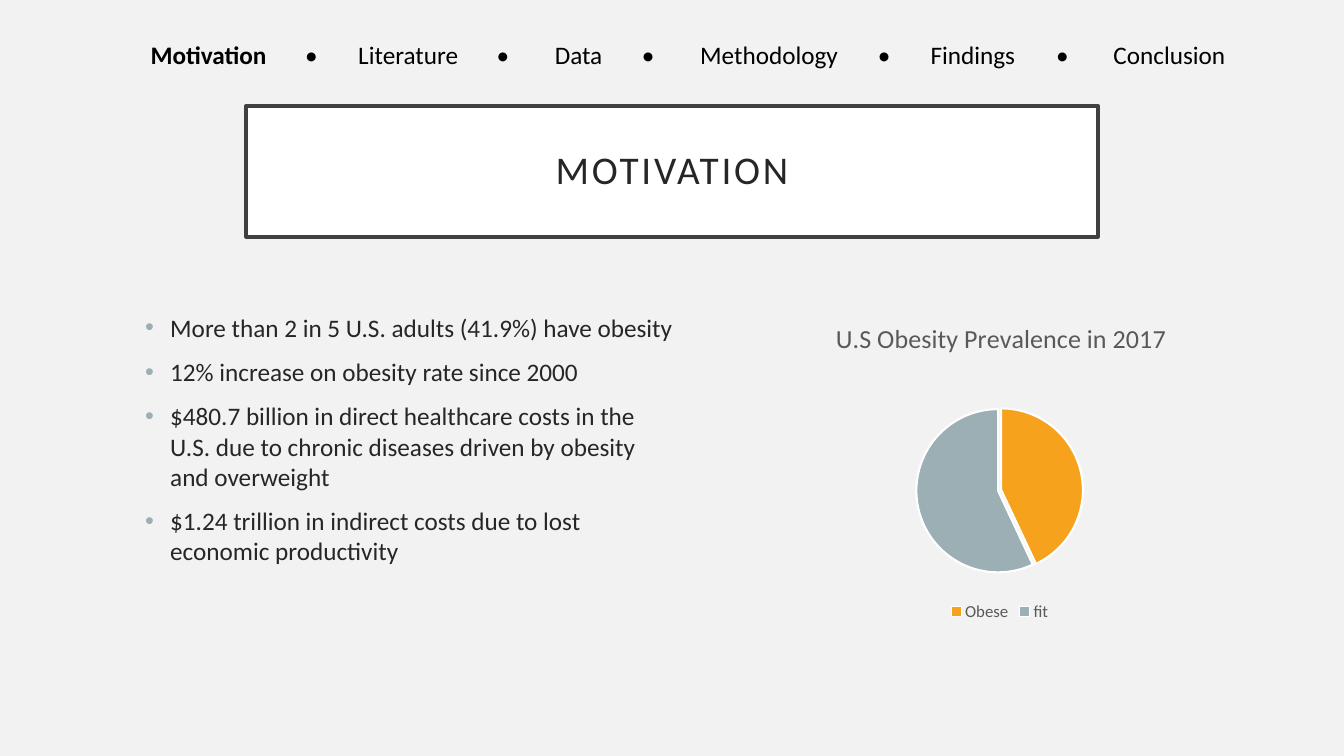
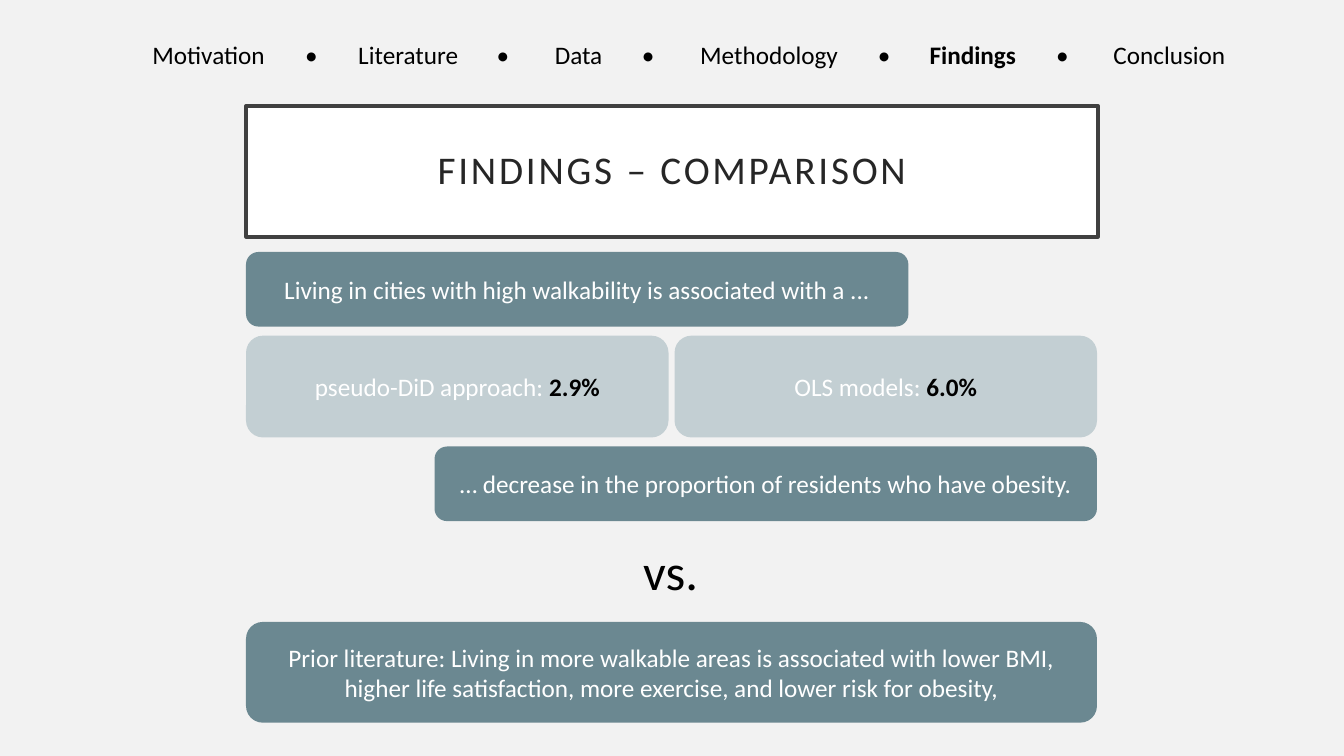
from lxml import etree
from pptx import Presentation
from pptx.chart.data import CategoryChartData
from pptx.dml.color import RGBColor
from pptx.enum.chart import XL_CHART_TYPE, XL_LEGEND_POSITION
from pptx.enum.shapes import MSO_SHAPE
from pptx.enum.text import MSO_ANCHOR, PP_ALIGN
from pptx.oxml import parse_xml
from pptx.oxml.ns import nsdecls, qn
from pptx.util import Inches, Pt

COLORS = {
    "background": "F2F2F2",
    "white": "FFFFFF",
    "black": "000000",
    "title": "262626",
    "frame": "404040",
    "chart_text": "595959",
    "mist": "9BAFB5",
    "pale": "C3CFD3",
    "teal": "6B8891",
    "orange": "F6A21D",
}
FONT = "Calibri"

# Section names and dots, with the centre of each inside the navigation bar
NAV_BOX = (0.88, 0.34, 11.92, 0.4)
NAV_STOPS = [
    ("Motivation", 1.09), ("•", 2.11), ("Literature", 3.07), ("•", 4.01),
    ("Data", 4.76), ("•", 5.45), ("Methodology", 6.65), ("•", 7.79),
    ("Findings", 8.67), ("•", 9.56), ("Conclusion", 10.62),
]
TITLE_BOX = (2.44, 1.05, 8.45, 1.3)


def rgb(name):
    return RGBColor.from_string(COLORS[name])


def inches(box):
    return [Inches(length) for length in box]


def style(font, size, color):
    font.name = FONT
    font.size = Pt(size)
    font.color.rgb = rgb(color)


def add_text(slide, box, anchor=MSO_ANCHOR.TOP, wrap=True):
    frame = slide.shapes.add_textbox(*inches(box)).text_frame
    frame.word_wrap = wrap
    frame.vertical_anchor = anchor
    return frame


def add_panel(slide, box, preset, fill):
    panel = slide.shapes.add_shape(preset, *inches(box))
    panel.shadow.inherit = False
    panel.fill.solid()
    panel.fill.fore_color.rgb = rgb(fill)
    panel.line.fill.background()
    panel.text_frame.word_wrap = True
    panel.text_frame.vertical_anchor = MSO_ANCHOR.MIDDLE
    panel.text_frame.paragraphs[0].alignment = PP_ALIGN.CENTER
    return panel


def add_navigation(slide, box, current):
    paragraph = add_text(slide, box).paragraphs[0]
    style(paragraph.font, 18, "black")
    properties = paragraph._p.get_or_add_pPr()
    tabs = etree.Element(qn("a:tabLst"))
    for label, centre in NAV_STOPS:
        etree.SubElement(tabs, qn("a:tab"), pos=str(Inches(centre)), algn="ctr")
        run = paragraph.add_run()
        run.text = "\t" + label
        run.font.bold = label == current
    properties.find(qn("a:defRPr")).addprevious(tabs)


def add_title(slide, box, title):
    panel = add_panel(slide, box, MSO_SHAPE.RECTANGLE, "white")
    panel.line.color.rgb = rgb("frame")
    panel.line.width = Pt(2.5)
    paragraph = panel.text_frame.paragraphs[0]
    paragraph.line_spacing = 0.9
    style(paragraph.font, 28, "title")
    run = paragraph.add_run()
    run.text = title
    run._r.get_or_add_rPr().set("spc", "200")


def add_section_slide(deck, section, title):
    slide = deck.slides.add_slide(deck.slide_layouts[6])
    slide.background.fill.solid()
    slide.background.fill.fore_color.rgb = rgb("background")
    add_navigation(slide, NAV_BOX, section)
    add_title(slide, TITLE_BOX, title)
    return slide


def add_bullets(slide, box, points):
    frame = add_text(slide, box, MSO_ANCHOR.MIDDLE)
    for index, point in enumerate(points):
        paragraph = frame.add_paragraph() if index else frame.paragraphs[0]
        paragraph.text = point
        paragraph.space_before = Pt(10)
        style(paragraph.font, 18, "title")
        properties = paragraph._p.get_or_add_pPr()
        properties.set("marL", str(Inches(0.25)))
        properties.set("indent", str(Inches(-0.25)))
        bullet_parts = (
            f'<a:buClr {nsdecls("a")}><a:srgbClr val="{COLORS["mist"]}"/></a:buClr>',
            f'<a:buFont {nsdecls("a")} typeface="Arial"/>',
            f'<a:buChar {nsdecls("a")} char="•"/>',
        )
        for part in bullet_parts:
            properties.find(qn("a:defRPr")).addprevious(parse_xml(part))


def manual_layout(inner=False, **fractions):
    layout = etree.Element(qn("c:layout"))
    manual = etree.SubElement(layout, qn("c:manualLayout"))
    if inner:
        etree.SubElement(manual, qn("c:layoutTarget"), val="inner")
    for edge in ("x", "y"):
        etree.SubElement(manual, qn(f"c:{edge}Mode"), val="edge")
    for name, fraction in fractions.items():
        etree.SubElement(manual, qn(f"c:{name}"), val=str(fraction))
    return layout


def place(element, layout, after=None):
    for old in element.findall(qn("c:layout")):
        element.remove(old)
    if after is None:
        element.insert(0, layout)
    else:
        element.find(qn(after)).addnext(layout)


def add_prevalence_pie(slide, box):
    data = CategoryChartData()
    data.categories = ["Obese", "fit"]
    data.add_series("Series 1", (43, 57))
    chart = slide.shapes.add_chart(
        XL_CHART_TYPE.PIE, *inches(box), data).chart
    style(chart.font, 10, "black")

    # Heading and legend
    chart.has_title = True
    heading = chart.chart_title.text_frame.paragraphs[0]
    run = heading.add_run()
    run.text = "U.S Obesity Prevalence in 2017"
    style(run.font, 18.6, "chart_text")
    run.font.bold = False
    chart.chart_title.include_in_layout = False
    place(chart.chart_title._element, manual_layout(x=0.165, y=0.05), "c:tx")
    chart.has_legend = True
    chart.legend.position = XL_LEGEND_POSITION.BOTTOM
    chart.legend.include_in_layout = False
    style(chart.legend.font, 12, "chart_text")

    # Slices
    plot = chart.plots[0]
    plot.vary_by_categories = True
    series = plot.series[0]
    for index, color in enumerate(("orange", "mist")):
        slice_format = series.points[index].format
        slice_format.fill.solid()
        slice_format.fill.fore_color.rgb = rgb(color)
        slice_format.line.color.rgb = rgb("white")
        slice_format.line.width = Pt(1.5)
    explosion = etree.Element(qn("c:explosion"), val="2")
    series._element.find(qn("c:dPt")).addprevious(explosion)
    plot_area = chart._chartSpace.chart.plotArea
    place(plot_area, manual_layout(inner=True, x=0.33, y=0.33, w=0.34, h=0.51))


def add_statement(slide, box, fill, text, figure=""):
    panel = add_panel(slide, box, MSO_SHAPE.ROUNDED_RECTANGLE, fill)
    paragraph = panel.text_frame.paragraphs[0]
    style(paragraph.font, 18, "white")
    paragraph.add_run().text = text
    if figure:
        run = paragraph.add_run()
        run.text = figure
        run.font.bold = True
        run.font.color.rgb = rgb("black")


def add_findings(slide, box):
    """Opening band, one card per method, closing band."""
    left, top, width, height = box
    band_width, band_height = 6.57, 0.74
    row_gap, card_gap = 0.09, 0.06
    cards = (("pseudo-DiD approach: ", "2.9%"), ("OLS models: ", "6.0%"))
    card_width = (width - card_gap) / len(cards)
    card_height = height - 2 * (band_height + row_gap)

    add_statement(slide, (left, top, band_width, band_height), "teal",
                  "Living in cities with high walkability is associated with a ...")
    for index, (method, figure) in enumerate(cards):
        card = (left + index * (card_width + card_gap),
                top + band_height + row_gap, card_width, card_height)
        add_statement(slide, card, "pale", method, figure)
    closing = (left + width - band_width, top + height - band_height,
               band_width, band_height)
    add_statement(slide, closing, "teal",
                  "… decrease in the proportion of residents who have obesity.")


def build_motivation(deck):
    slide = add_section_slide(deck, "Motivation", "MOTIVATION")
    add_bullets(slide, (1.34, 2.88, 5.5, 2.95), [
        "More than 2 in 5 U.S. adults (41.9%) have obesity",
        "12% increase on obesity rate since 2000",
        "$480.7 billion in direct healthcare costs in the U.S. due to "
        "chronic diseases driven by obesity and overweight",
        "$1.24 trillion in indirect costs due to lost economic productivity",
    ])
    add_prevalence_pie(slide, (7.42, 2.97, 4.99, 3.24))


def build_comparison(deck):
    slide = add_section_slide(deck, "Findings", "FINDINGS – COMPARISON")
    add_findings(slide, (2.44, 2.5, 8.44, 2.67))

    # Contrast with earlier studies
    versus = add_text(slide, (6.28, 5.31, 0.77, 0.71), wrap=False).paragraphs[0]
    versus.text = "vs."
    style(versus.font, 36, "black")
    add_statement(slide, (2.44, 6.17, 8.44, 1), "teal",
                  "Prior literature: Living in more walkable areas is associated "
                  "with lower BMI, higher life satisfaction, more exercise, and "
                  "lower risk for obesity,")


def main():
    deck = Presentation()
    deck.slide_width = Inches(13.33)
    deck.slide_height = Inches(7.5)
    build_motivation(deck)
    build_comparison(deck)
    deck.save("out.pptx")


if __name__ == "__main__":
    main()
